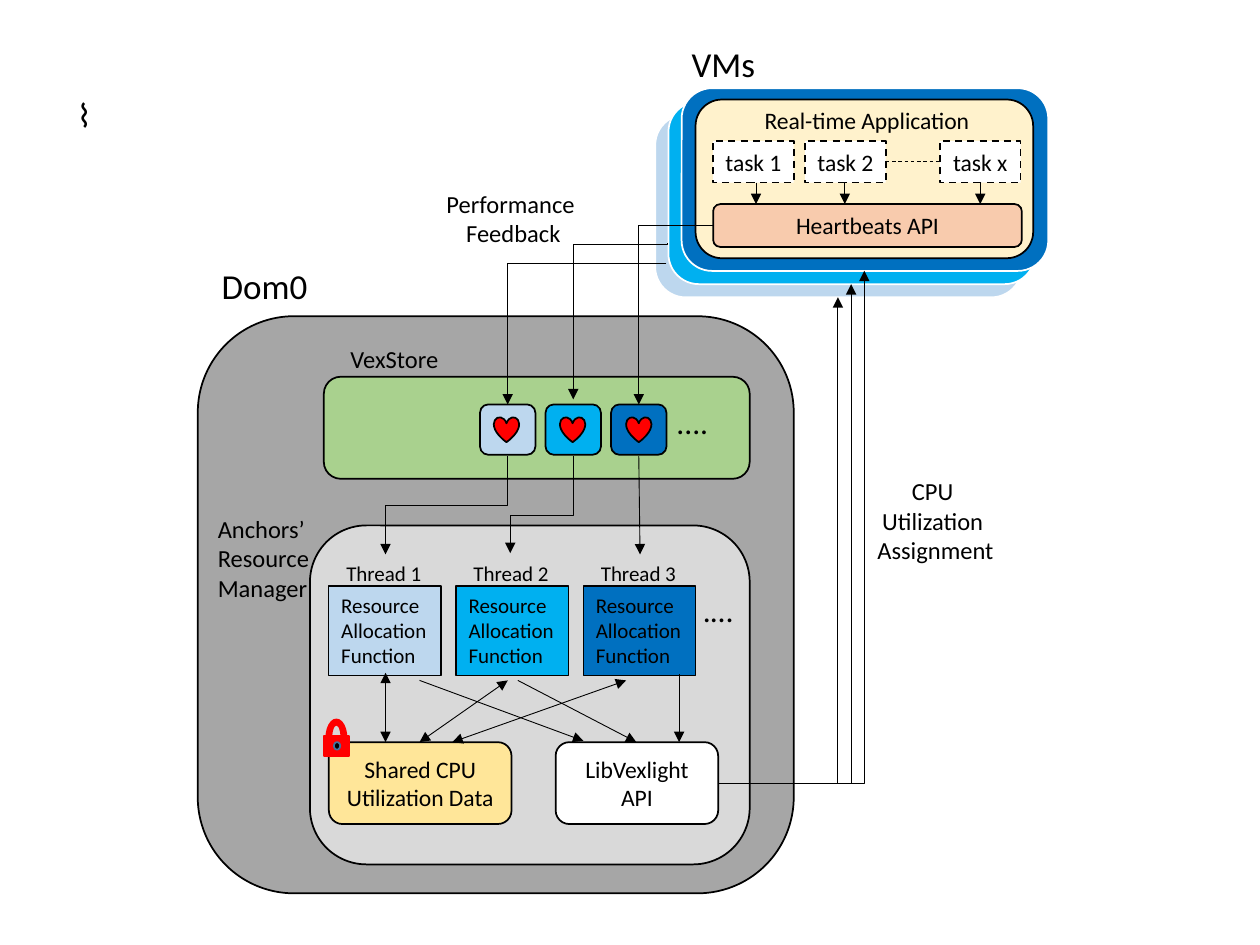
from dataclasses import dataclass

from lxml import etree
from pptx import Presentation
from pptx.dml.color import RGBColor
from pptx.enum.dml import MSO_LINE
from pptx.enum.shapes import MSO_CONNECTOR, MSO_SHAPE
from pptx.enum.text import MSO_ANCHOR, MSO_AUTO_SIZE, PP_ALIGN
from pptx.oxml.ns import qn
from pptx.util import Inches, Pt

ROUND, RECT = MSO_SHAPE.ROUNDED_RECTANGLE, MSO_SHAPE.RECTANGLE
HEART, ARC, OVAL = MSO_SHAPE.HEART, MSO_SHAPE.BLOCK_ARC, MSO_SHAPE.OVAL
STRAIGHT, ELBOW = MSO_CONNECTOR.STRAIGHT, MSO_CONNECTOR.ELBOW
DASH = MSO_LINE.DASH
LEFT, CENTER = PP_ALIGN.LEFT, PP_ALIGN.CENTER
TOP, MIDDLE = MSO_ANCHOR.TOP, MSO_ANCHOR.MIDDLE
FIT = MSO_AUTO_SIZE.SHAPE_TO_FIT_TEXT

BLACK = RGBColor(0x00, 0x00, 0x00)
WHITE = RGBColor(0xFF, 0xFF, 0xFF)
RED = RGBColor(0xFF, 0x00, 0x00)
DOM_GRAY = RGBColor(0xA6, 0xA6, 0xA6)
MANAGER_GRAY = RGBColor(0xD9, 0xD9, 0xD9)
STORE_GREEN = RGBColor(0xA9, 0xD1, 0x8E)
APP_CREAM = RGBColor(0xFF, 0xF2, 0xCC)
API_PEACH = RGBColor(0xF8, 0xCB, 0xAD)
DATA_YELLOW = RGBColor(0xFF, 0xE6, 0x99)
KEYHOLE_BLUE = RGBColor(0x43, 0x73, 0x9E)
VM_COLORS = (RGBColor(0xBD, 0xD7, 0xEE), RGBColor(0x00, 0xB0, 0xF0),
             RGBColor(0x00, 0x70, 0xC0))

FONT = "Calibri"
COLUMNS, ROWS = 100, 75
prs = Presentation()
prs.slide_width, prs.slide_height = Inches(10), Inches(7.5)
COLUMN, ROW = prs.slide_width / COLUMNS, prs.slide_height / ROWS
slide = prs.slides.add_slide(prs.slide_layouts[6])


@dataclass
class Block:
    left: float
    top: float
    width: float
    height: float
    fill: RGBColor
    text: str = ""
    kind: int = ROUND
    line: RGBColor = BLACK
    dashed: bool = False


@dataclass
class Label:
    left: float
    top: float
    width: float
    height: float
    text: str
    size: float = 14
    align: int = LEFT
    wrap: bool = False


@dataclass
class Arrow:
    x1: float
    y1: float
    x2: float
    y2: float
    head: bool = False
    tail: bool = True


def box(left: float, top: float, width: float, height: float) -> tuple:
    return (round(left * COLUMN), round(top * ROW),
            round(width * COLUMN), round(height * ROW))


def write(frame, text: str, size: float, align: int) -> None:
    frame.text = text
    for paragraph in frame.paragraphs:
        paragraph.alignment = align
        for run in paragraph.runs:
            run.font.name, run.font.size = FONT, Pt(size)
            run.font.color.rgb = BLACK


def draw_block(block: Block):
    shape = slide.shapes.add_shape(
        block.kind, *box(block.left, block.top, block.width, block.height))
    shape.shadow.inherit = False
    shape.fill.solid()
    shape.fill.fore_color.rgb = block.fill
    shape.line.color.rgb = block.line
    shape.line.width = Pt(1)
    if block.dashed:
        shape.line.dash_style = DASH
    if block.text:
        frame = shape.text_frame
        frame.margin_left = frame.margin_right = Inches(0.07)
        frame.margin_top = frame.margin_bottom = Inches(0.04)
        frame.vertical_anchor, frame.word_wrap = MIDDLE, True
        write(frame, block.text, 13.5, CENTER)
    return shape


def draw_label(label: Label) -> None:
    frame = slide.shapes.add_textbox(
        *box(label.left, label.top, label.width, label.height)).text_frame
    frame.word_wrap, frame.auto_size = label.wrap, FIT
    write(frame, label.text, label.size, label.align)


def draw_thread(index: int, color: RGBColor) -> None:
    left = 26.1 + 10.1 * index
    shape = draw_block(Block(left, 46.5, 8.9, 7.1, color, kind=RECT))
    shape.line.width = Pt(0.75)
    frame = shape.text_frame
    frame.margin_left = frame.margin_right = Inches(0.1)
    frame.margin_top = frame.margin_bottom = Inches(0.05)
    frame.vertical_anchor, frame.word_wrap, frame.auto_size = TOP, False, FIT
    write(frame, "Resource\nAllocation\nFunction", 12, LEFT)
    draw_label(Label(left + 0.4, 44, 8, 3, f"Thread {index + 1}", 12))


def draw_arrow(arrow: Arrow, kind: int = STRAIGHT):
    connector = slide.shapes.add_connector(
        kind, *box(arrow.x1, arrow.y1, arrow.x2, arrow.y2))
    connector.line.color.rgb = BLACK
    connector.line.width = Pt(0.5)
    line = connector.line._get_or_add_ln()
    for end, shown in (("a:headEnd", arrow.head), ("a:tailEnd", arrow.tail)):
        if shown:
            etree.SubElement(line, qn(end), type="triangle")
    etree.SubElement(connector._element.spPr, qn("a:effectLst"))
    return connector


def draw_corner(arrow: Arrow) -> None:
    connector = draw_arrow(arrow, ELBOW)
    connector._element.spPr.find(qn("a:prstGeom")).set("prst", "bentConnector2")


def draw_step(arrow: Arrow, bend: float) -> None:
    center_x, center_y = (arrow.x1 + arrow.x2) / 2, (arrow.y1 + arrow.y2) / 2
    half_run, half_drop = (arrow.x1 - arrow.x2) / 2, (arrow.y2 - arrow.y1) / 2
    turned = Arrow(center_x - half_drop, center_y - half_run,
                   center_x + half_drop, center_y + half_run)
    properties = draw_arrow(turned, ELBOW)._element.spPr
    properties.find(qn("a:xfrm")).set("rot", "5400000")
    guides = properties.find(qn("a:prstGeom")).get_or_add_avLst()
    etree.SubElement(guides, qn("a:gd"), name="adj1",
                     fmla=f"val {round(bend * 100000)}")


draw_block(Block(15.7, 25.1, 47.3, 45.8, DOM_GRAY))
for i, color in enumerate(VM_COLORS):
    draw_block(Block(52 + 1.05 * i, 9.1 - 1.05 * i, 29.1, 14.5, color, line=WHITE))

TASKS = {"task 1": 56.6, "task 2": 63.9, "task x": 74.6}
for block in (
    Block(55.2, 7.9, 26.8, 12.6, APP_CREAM),
    Block(56.6, 16.2, 24.5, 3.4, API_PEACH, "Heartbeats API"),
    *(Block(left, 11.2, 6.4, 3.3, WHITE, task, RECT, dashed=True)
      for task, left in TASKS.items()),
    Block(25.7, 29.9, 33.8, 8.1, STORE_GREEN),
    Block(24.6, 41.7, 34.9, 26.9, MANAGER_GRAY),
    Block(26.1, 58.9, 14.5, 6.5, DATA_YELLOW, "Shared CPU Utilization Data"),
    Block(44.1, 58.9, 12.9, 6.5, WHITE, "LibVexlight\nAPI"),
    Block(25.7, 58.4, 2, 1.6, RED, kind=RECT, line=RED),
    Block(25.9, 57.1, 1.6, 2.9, RED, kind=ARC, line=RED),
    Block(26.5, 58.9, 0.5, 0.6, BLACK, kind=OVAL, line=KEYHOLE_BLUE),
):
    draw_block(block)

for i, color in enumerate(VM_COLORS):
    draw_block(Block(38.1 + 5.2 * i, 32.1, 4.4, 4, color))
    draw_block(Block(39.2 + 5.25 * i, 33.1, 2, 2, RED, kind=HEART))
    draw_thread(i, color)
    draw_corner(Arrow(57, 62.2, 66.5 + 1.05 * i, 23.6 - 1.05 * i))

for label in (
    Label(16.6, 20.5, 8.9, 4.4, "Dom0", 20),
    Label(53.9, 2.9, 7.1, 4.4, "VMs", 20),
    Label(59.5, 7.9, 18.6, 3.3, "Real-time Application", 13.5, CENTER),
    Label(26.7, 26.8, 9.2, 3.4, "VexStore", align=CENTER),
    Label(52.7, 31.5, 6.3, 4, "....", 18, wrap=True),
    Label(16.3, 40.3, 9.5, 8.1, "Anchors’ \nResource \nManager", wrap=True),
    Label(34.4, 14.5, 12.7, 5.7, "Performance \nFeedback", align=CENTER),
    Label(68.6, 37.3, 11.3, 8.1, "CPU \nUtilization \nAssignment", align=CENTER),
    Label(54.8, 46.4, 4.5, 4, ".…", 18, wrap=True),
    Label(5.1, 7.1, 4.5, 4, "⌇", 18),
):
    draw_label(label)

for arrow in (
    *(Arrow(x, 14.5, x, 16.2) for x in (60, 67.05, 77.8)),
    Arrow(30.6, 53.4, 30.6, 58.9, head=True),
    Arrow(40.3, 54, 33.3, 58.9, head=True),
    Arrow(49.7, 54, 35.9, 58.9, head=True),
    Arrow(53.9, 53.5, 53.9, 58.9),
    Arrow(33.3, 54, 46.3, 58.8),
    Arrow(41.1, 54, 50.5, 58.9),
    Arrow(50.7, 36.2, 50.8, 44),
):
    draw_arrow(arrow)
draw_arrow(Arrow(70.3, 12.8, 74.6, 12.8, tail=False)).line.dash_style = DASH

draw_corner(Arrow(56.6, 17.9, 50.7, 32.1))
draw_corner(Arrow(52.9, 20.9, 40.3, 32.1))
draw_step(Arrow(53, 19.3, 45.5, 31.7), 0.01)
draw_step(Arrow(40.3, 36.2, 30.6, 44), 0.5)
draw_step(Arrow(45.5, 36.2, 40.5, 43.9), 0.61)

prs.save("out.pptx")
